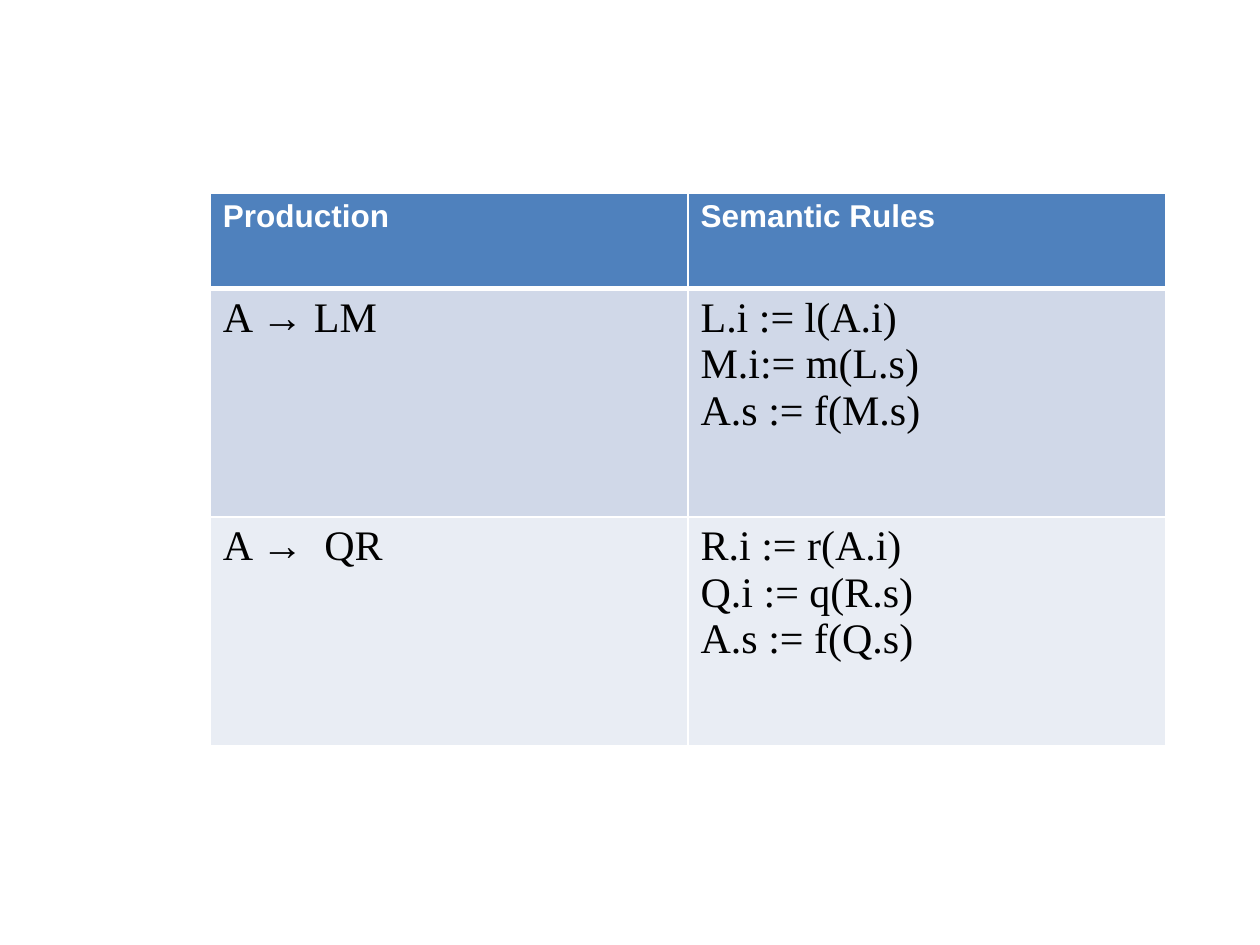
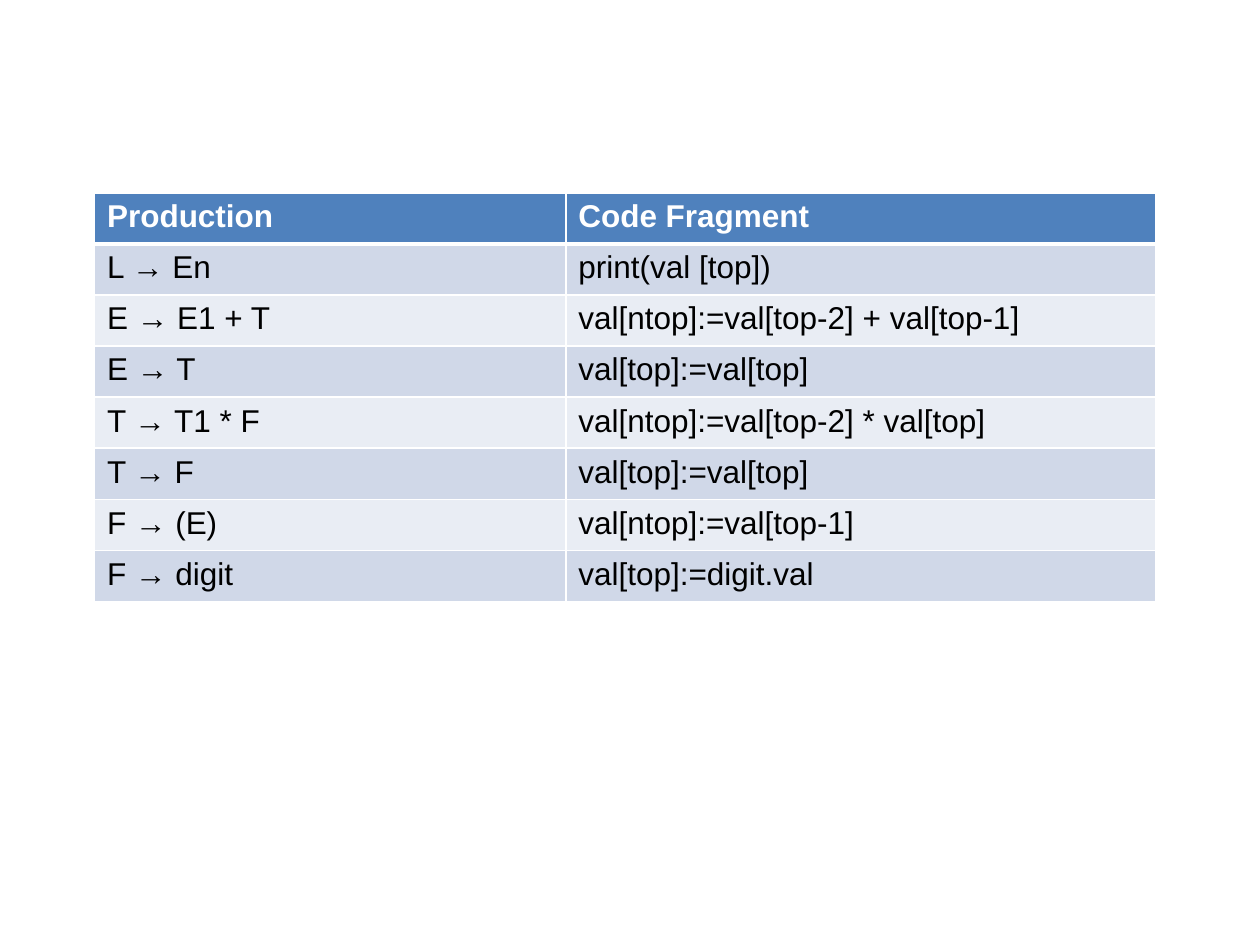
from dataclasses import dataclass

from lxml.etree import SubElement as Sub
from pptx import Presentation
from pptx.dml.color import RGBColor as RGB
from pptx.oxml.ns import qn
from pptx.util import Pt


@dataclass(frozen=True)
class Theme:
    """Colours, fonts and sizes shared by the slides."""
    head: str = "4F81BD"
    bands: tuple = ("D0D8E8", "E9EDF4")
    light: str = "FFFFFF"
    dark: str = "000000"
    sans: str = "Arial"
    serif: str = "Times New Roman"
    small: int = 18
    large: int = 24
    thin: int = 1
    thick: int = 3


THEME = Theme()
TOP = 110.16

RULES = [
    ("Production", "Semantic Rules"),
    ("A → LM", "L.i := l(A.i)\nM.i:= m(L.s)\nA.s := f(M.s)"),
    ("A →  QR", "R.i := r(A.i)\nQ.i := q(R.s)\nA.s := f(Q.s)"),
]
CODE = [
    ("Production", "Code Fragment"),
    ("L → En", "print(val [top])"),
    ("E → E1 + T", "val[ntop]:=val[top-2] + val[top-1]"),
    ("E → T", "val[top]:=val[top]"),
    ("T → T1 * F", "val[ntop]:=val[top-2] * val[top]"),
    ("T → F", "val[top]:=val[top]"),
    ("F → (E)", "val[ntop]:=val[top-1]"),
    ("F → digit", "val[top]:=digit.val"),
]


def edge(cell, row):
    """Draw the cell borders, with a thick rule below the header."""
    props = cell._tc.get_or_add_tcPr()
    thick = {0: "lnB", 1: "lnT"}.get(row)
    for spot, side in enumerate(("lnL", "lnR", "lnT", "lnB")):
        width = THEME.thick if side == thick else THEME.thin
        line = Sub(props, qn(f"a:{side}"), w=str(Pt(width)))
        fill = Sub(line, qn("a:solidFill"))
        Sub(fill, qn("a:srgbClr"), val=THEME.light)
        props.insert(spot, line)


def fill_cell(cell, text, row, face, size):
    """Write and style one cell; row 0 is the header."""
    head = row == 0
    cell.text = text
    cell.fill.solid()
    back = THEME.head if head else THEME.bands[(row - 1) % 2]
    cell.fill.fore_color.rgb = RGB.from_string(back)
    for para in cell.text_frame.paragraphs:
        font = para.font
        font.name = THEME.sans if head else face
        font.size = Pt(THEME.small if head else size)
        font.bold = head
        font.color.rgb = RGB.from_string(THEME.light if head else THEME.dark)
    edge(cell, row)


def add_grid(slide, left, top, cols, rows, data, face, size):
    """Place a banded table with the given column widths and row heights."""
    frame = slide.shapes.add_table(len(rows), len(cols), Pt(left), Pt(top),
                                   Pt(sum(cols)), Pt(sum(rows)))
    table = frame.table
    for col, width in zip(table.columns, cols):
        col.width = Pt(width)
    for row, height in zip(table.rows, rows):
        row.height = Pt(height)
    for r, texts in enumerate(data):
        for c, text in enumerate(texts):
            fill_cell(table.cell(r, c), text, r, face, size)


def main():
    """Build both slides and save the deck."""
    deck = Presentation()
    deck.slide_width, deck.slide_height = Pt(720), Pt(540)
    blank = deck.slide_layouts[6]
    add_grid(deck.slides.add_slide(blank), 120.2, TOP, [273] * 2,
             [54.7] + [130.6] * 2, RULES, THEME.serif, THEME.large)
    add_grid(deck.slides.add_slide(blank), 54, TOP, [269.3, 337],
             [29.2] * len(CODE), CODE, THEME.sans, THEME.small)
    deck.save("out.pptx")


main()
